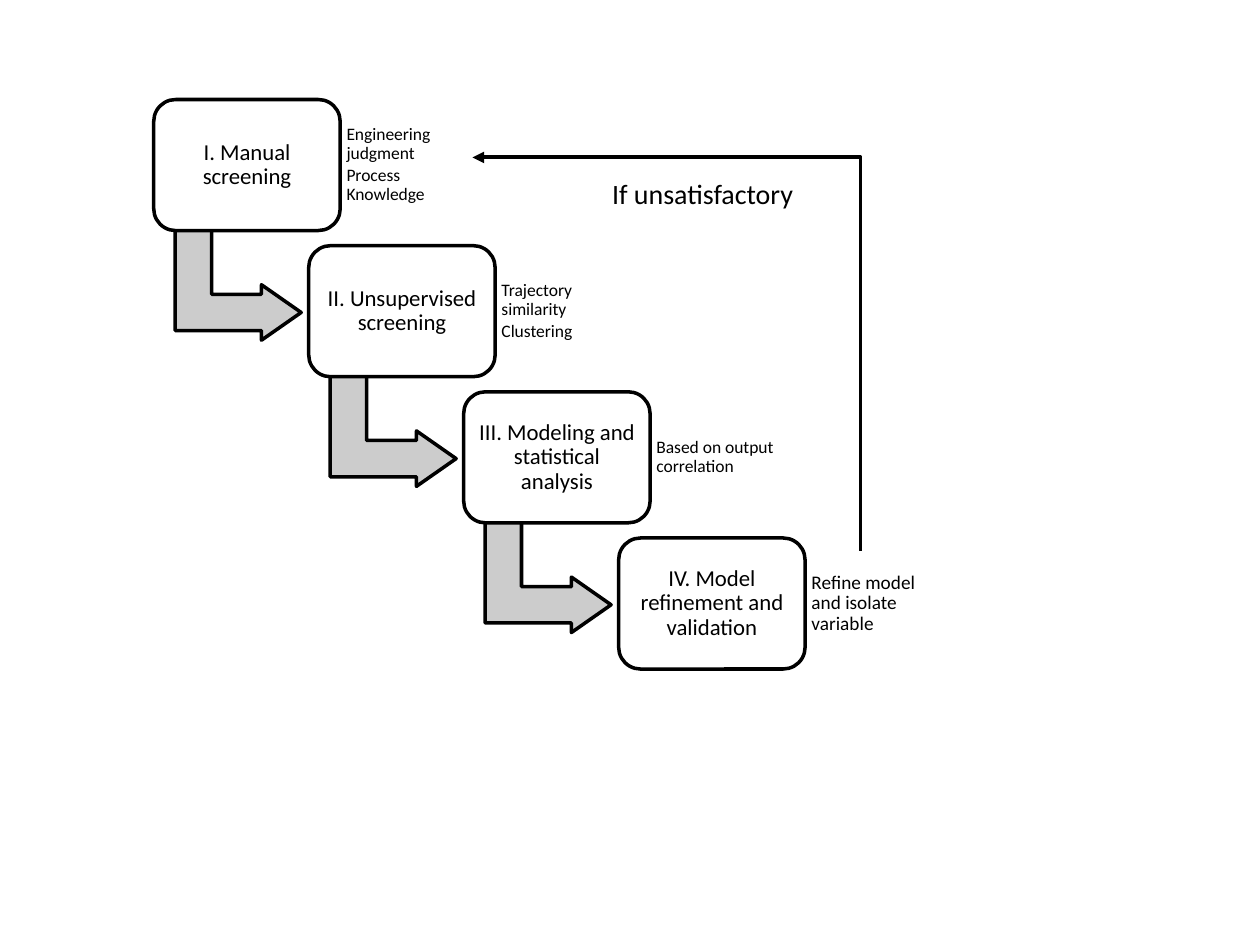
from pptx import Presentation
from pptx.dml.color import RGBColor
from pptx.enum import shapes, text
from pptx.oxml import ns
from pptx.util import Inches, Pt
from lxml import etree

BLACK = RGBColor(0, 0, 0)
WHITE = RGBColor(255, 255, 255)
GRAY = RGBColor(0xCC, 0xCC, 0xCC)

FIRST_LEFT, FIRST_TOP = 1.22, 0.79
STEP_X, STEP_Y = 1.23, 1.16
BOX_WIDTH, BOX_HEIGHT = 1.48, 1.04

STAGES = [
    ("I. Manual screening", ["Engineering judgment", "Process Knowledge"], 10),
    ("II. Unsupervised screening", ["Trajectory similarity", "Clustering"], 10),
    ("III. Modeling and statistical analysis", ["Based on output correlation"], 10),
    ("IV. Model refinement and validation", ["Refine model and isolate variable"], 11),
]


class Diagram:
    font_name = "Calibri"
    line_width = Pt(2)

    def __init__(self, slide):
        self.slide = slide

    def set_text(self, shape, lines, size, align, inset, spacing=0.9):
        frame = shape.text_frame
        frame.word_wrap = True
        frame.vertical_anchor = text.MSO_ANCHOR.MIDDLE
        frame.margin_left = frame.margin_right = Inches(inset)
        frame.margin_top = frame.margin_bottom = Inches(inset)
        frame.text = "\n".join(lines)
        for paragraph in frame.paragraphs:
            paragraph.alignment = align
            paragraph.line_spacing = spacing
            paragraph.space_after = Pt(size * 0.15)
            paragraph.font.name = self.font_name
            paragraph.font.size = Pt(size)
            paragraph.font.color.rgb = BLACK

    def outlined(self, kind, left, top, width, height, fill):
        shape = self.slide.shapes.add_shape(
            kind, Inches(left), Inches(top), Inches(width), Inches(height))
        shape.shadow.inherit = False
        shape.fill.solid()
        shape.fill.fore_color.rgb = fill
        shape.line.color.rgb = BLACK
        shape.line.width = self.line_width
        return shape

    def stage_box(self, left, top, label):
        box = self.outlined(shapes.MSO_SHAPE.ROUNDED_RECTANGLE,
                            left, top, BOX_WIDTH, BOX_HEIGHT, WHITE)
        self.set_text(box, [label], 13, text.PP_ALIGN.CENTER, 0.05)

    def step_arrow(self, left, top):
        arrow = self.outlined(shapes.MSO_SHAPE.BENT_UP_ARROW, left, top, 0.88, 1, GRAY)
        arrow.rotation = 90
        for index, value in enumerate((0.328, 0.25, 0.358)):
            arrow.adjustments[index] = value

    def label(self, left, top, width, height, lines, size, inset=0.05, spacing=0.9):
        box = self.slide.shapes.add_textbox(
            Inches(left), Inches(top), Inches(width), Inches(height))
        self.set_text(box, lines, size, text.PP_ALIGN.LEFT, inset, spacing)
        return box

    def feedback_arrow(self, start_x, start_y, end_x, end_y):
        connector = self.slide.shapes.add_connector(
            shapes.MSO_CONNECTOR.ELBOW,
            Inches(start_x), Inches(start_y), Inches(end_x), Inches(end_y))
        connector.line.color.rgb = BLACK
        connector.line.width = Pt(2.25)
        properties = connector._element.spPr
        guides = properties.find(ns.qn("a:prstGeom")).find(ns.qn("a:avLst"))
        etree.SubElement(guides, ns.qn("a:gd"), name="adj1", fmla="val 0")
        etree.SubElement(properties.find(ns.qn("a:ln")), ns.qn("a:tailEnd"), type="triangle")
        etree.SubElement(properties, ns.qn("a:effectLst"))


def main():
    presentation = Presentation()
    presentation.slide_width = Inches(10)
    presentation.slide_height = Inches(7.5)
    slide = presentation.slides.add_slide(presentation.slide_layouts[6])
    diagram = Diagram(slide)

    for index, (title, details, size) in enumerate(STAGES):
        left = FIRST_LEFT + index * STEP_X
        top = FIRST_TOP + index * STEP_Y
        if index < len(STAGES) - 1:
            diagram.step_arrow(left + 0.23, top + 0.97)
        diagram.stage_box(left, top, title)
        diagram.label(left + BOX_WIDTH, top + 0.1, 1.08, 0.84, details, size)

    condition = diagram.label(4.76, 1.35, 1.88, 0.37, ["If unsatisfactory"], 16, 0.1, 1.0)
    condition.text_frame.word_wrap = False
    diagram.feedback_arrow(6.83, 4.37, 3.75, 1.25)
    presentation.save("out.pptx")


if __name__ == "__main__":
    main()
